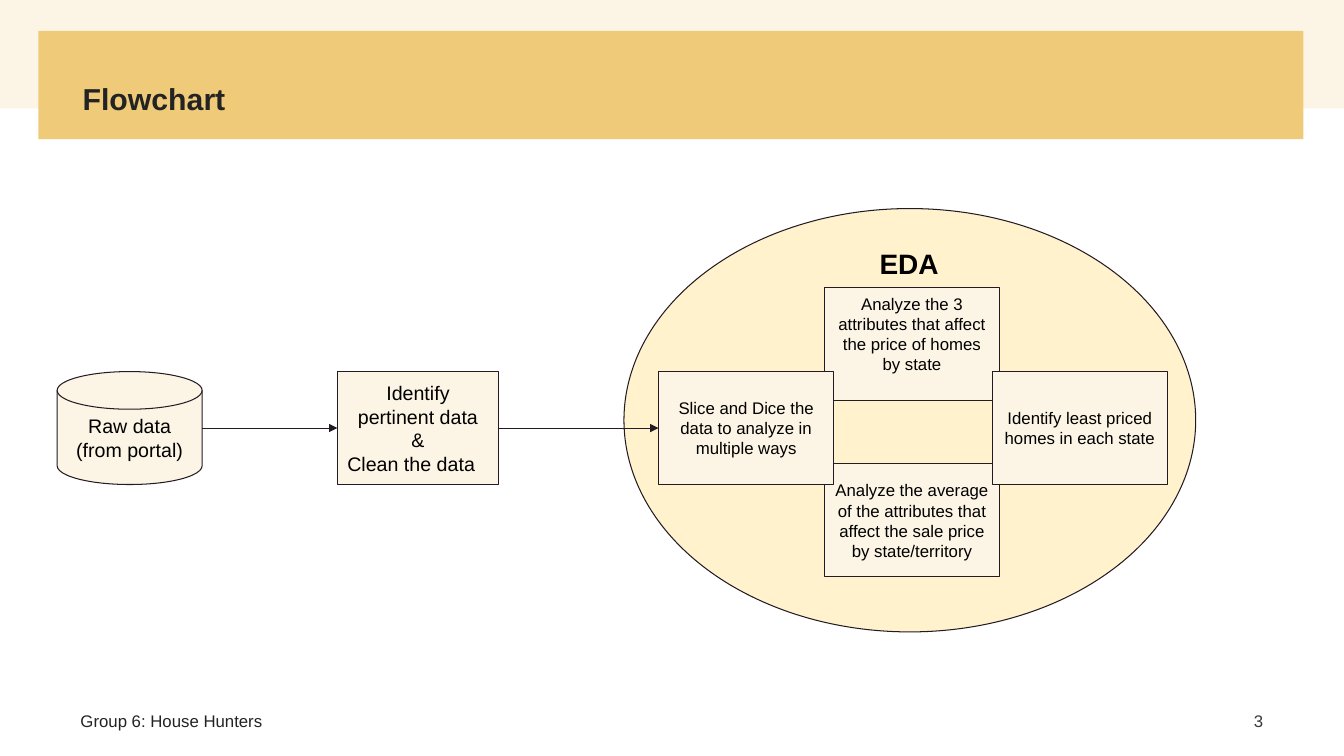
from lxml import etree
from pptx import Presentation
from pptx.dml.color import RGBColor
from pptx.enum.shapes import MSO_CONNECTOR as Link, MSO_SHAPE as Shape
from pptx.enum.text import MSO_ANCHOR as Anchor, MSO_AUTO_SIZE as AutoSize, PP_ALIGN as Align
from pptx.oxml.ns import qn
from pptx.util import Pt

CREAM, GOLD, PALE = "FCF5E5", "EFCB79", "FFF2CC"
OUTLINE, INK, GREY, BLACK = "231B23", "232323", "383838", "000000"


def color(value):
    return RGBColor.from_string(value)


def write(shape, text, size=12, ink=BLACK, bold=False, align=Align.CENTER,
          anchor=Anchor.MIDDLE, insets=(7.2, 7.2, 7.2, 7.2), spacing=None):
    frame = shape.text_frame
    frame.word_wrap = True
    frame.auto_size = AutoSize.NONE
    frame.vertical_anchor = anchor
    frame.margin_left, frame.margin_top, frame.margin_right, frame.margin_bottom = map(Pt, insets)
    for index, line in enumerate(text.split("\n")):
        para = frame.paragraphs[0] if index == 0 else frame.add_paragraph()
        para.alignment = align
        para.line_spacing = spacing
        span = para.add_run()
        span.text = line
        span.font.name = "Arial"
        span.font.size = Pt(size)
        span.font.bold = bold
        span.font.color.rgb = color(ink)
    return shape


class FlowchartPage:
    """Draws flowchart elements on one page in a shared style."""

    def __init__(self, page, line_width=0.75):
        self.page = page
        self.line_width = Pt(line_width)

    def shape(self, kind, left, top, width, height, fill, outline=None):
        shape = self.page.shapes.add_shape(kind, Pt(left), Pt(top), Pt(width), Pt(height))
        shape.shadow.inherit = False
        shape.fill.solid()
        shape.fill.fore_color.rgb = color(fill)
        if outline:
            shape.line.color.rgb = color(outline)
            shape.line.width = self.line_width
        else:
            shape.line.fill.background()
        return shape

    def step(self, text, left, top, width, kind=Shape.RECTANGLE, **style):
        return write(self.shape(kind, left, top, width, 80.7, CREAM, OUTLINE), text, **style)

    def label(self, text, left, top, width, height, **style):
        box = self.page.shapes.add_textbox(Pt(left), Pt(top), Pt(width), Pt(height))
        return write(box, text, **style)

    def title(self, text, left, top, width, height, **style):
        title = self.page.shapes.title
        title.left, title.top, title.width, title.height = map(Pt, (left, top, width, height))
        title.fill.solid()
        title.fill.fore_color.rgb = color(GOLD)
        self.page.shapes._spTree.append(title._element)
        return write(title, text, **style)

    def arrow(self, source, target, glue_source=True):
        middle = source.top + source.height // 2
        arrow = self.page.shapes.add_connector(
            Link.STRAIGHT, source.left + source.width, middle, target.left, middle)
        if glue_source:
            arrow.begin_connect(source, 3)
        arrow.end_connect(target, 1)
        arrow.line.color.rgb = color(OUTLINE)
        arrow.line.width = self.line_width
        etree.SubElement(arrow.line._get_or_add_ln(), qn("a:tailEnd"), type="triangle")
        etree.SubElement(arrow._element.spPr, qn("a:effectLst"))


def main():
    deck = Presentation()
    deck.slide_width, deck.slide_height = Pt(960), Pt(540)
    chart = FlowchartPage(deck.slides.add_slide(deck.slide_layouts[5]))

    chart.shape(Shape.RECTANGLE, 0, 0, 960, 77.5, CREAM)
    chart.shape(Shape.RECTANGLE, 27.5, 22, 903.6, 77.5, GOLD)
    chart.title("Flowchart", 50.4, 37.4, 859, 54, size=21.6, ink=INK, bold=True,
                align=Align.LEFT, insets=(8.64, 21.6, 8.64, 7.2), spacing=0.9)
    footer_insets = (7.2, 3.6, 7.2, 3.6)
    chart.label("Group 6: House Hunters", 50.4, 500.7, 495.4, 28.8,
                ink=INK, align=Align.LEFT, insets=footer_insets)
    chart.label("3", 843.1, 500.7, 66.2, 28.8, ink=GREY, align=Align.RIGHT, insets=footer_insets)

    chart.shape(Shape.OVAL, 445.7, 149, 408.4, 302.4, PALE, OUTLINE)
    chart.label("EDA", 609.1, 169.2, 80.6, 38.9, size=20, bold=True, anchor=Anchor.TOP)

    row = 265.4
    raw = chart.step("Raw data\n(from portal)", 40.8, row, 103.6, Shape.FLOWCHART_MAGNETIC_DISK, size=14)
    clean = chart.step("Identify pertinent data\n&\nClean the data", 241, row, 115.2, size=14)
    clean.text_frame.paragraphs[-1].alignment = Align.LEFT

    wide = 125.3
    chart.step("Analyze the average of the attributes that affect the sale price by state/territory",
               588.8, 331.4, wide)
    chart.step("Analyze the 3 attributes that affect the price of homes by state",
               588.8, 205.4, wide, insets=(7.2, 7.2, 7.2, 21.6))
    dice = chart.step("Slice and Dice the data to analyze in multiple ways", 470.4, row, wide)
    chart.step("Identify least priced homes in each state", 708.7, row, wide)

    chart.arrow(raw, clean, glue_source=False)
    chart.arrow(clean, dice)

    deck.save("out.pptx")


if __name__ == "__main__":
    main()
